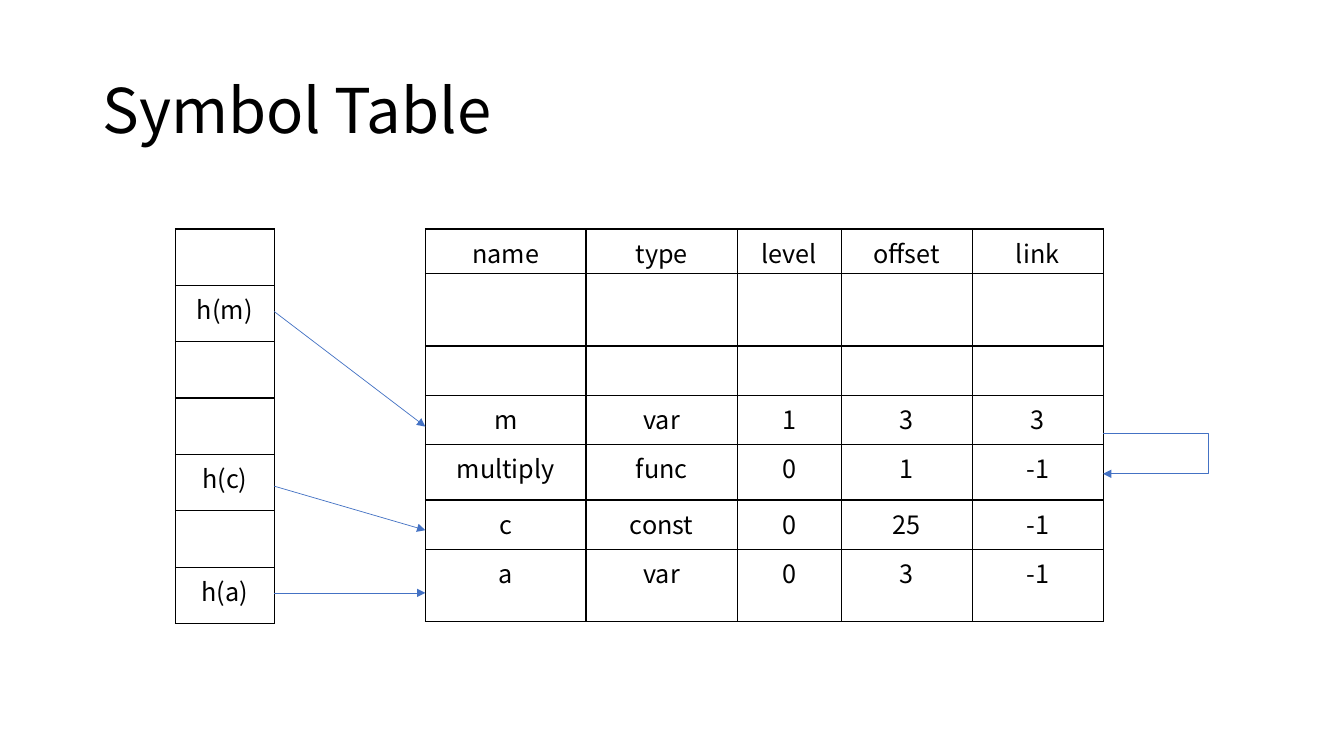
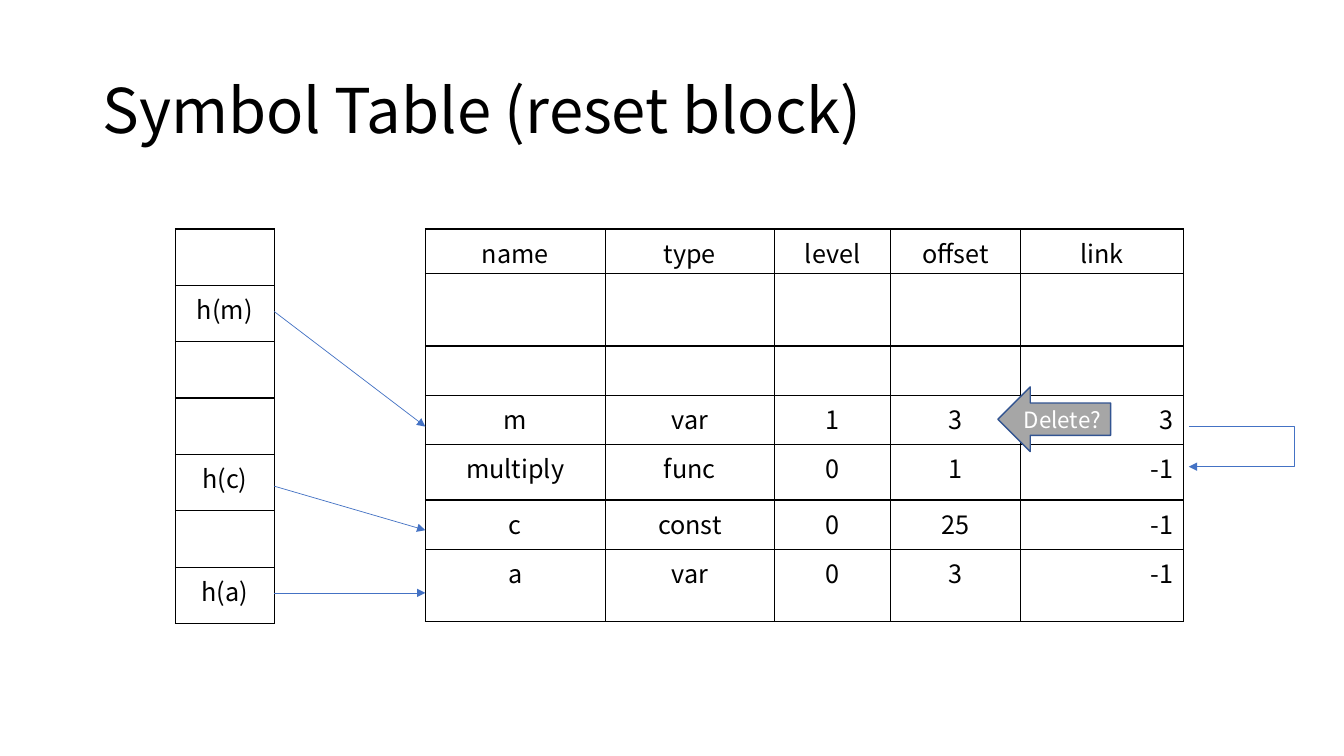
from lxml import etree
from pptx import Presentation
from pptx.dml.color import RGBColor
from pptx.enum.shapes import MSO_CONNECTOR, MSO_SHAPE
from pptx.enum.text import MSO_ANCHOR, PP_ALIGN
from pptx.oxml.ns import qn
from pptx.util import Cm, Pt

STRAIGHT, ELBOW = MSO_CONNECTOR.STRAIGHT, MSO_CONNECTOR.ELBOW
LEFT_ARROW = MSO_SHAPE.LEFT_ARROW
MIDDLE = MSO_ANCHOR.MIDDLE
LEFT, CENTER, RIGHT = PP_ALIGN.LEFT, PP_ALIGN.CENTER, PP_ALIGN.RIGHT

FONT = "Noto Sans CJK KR"
BLACK, WHITE, BLUE = "000000", "FFFFFF", "4472C4"
GREY, DARK_BLUE = "A6A6A6", "325491"

# All lengths below are centimetres.
TABLE_TOP = 5.77
HASH_LEFT, HASH_WIDTH, HASH_ROW = 4.42, 2.49, 1.42
SYMBOLS_LEFT = 10.72
SYMBOL_ROWS = [1.12, 1.83, 1.24, 1.24, 1.4, 1.24, 1.83]
# Start and end heights of the hash arrows, from the top of the tables
HASH_ARROWS = [(9.17, 9.17), (6.48, 7.59), (2.08, 4.98)]
LOOP_STUB, LOOP_DEPTH, LOOP_HEIGHT = 2.02, 2.65, 1.02

HASH_CELLS = [[""], ["h(m)"], [""], [""], ["h(c)"], [""], ["h(a)"]]
SYMBOLS = [
    ["name", "type", "level", "offset", "link"],
    [""] * 5,
    [""] * 5,
    ["m", "var", "1", "3", "3"],
    ["multiply", "func", "0", "1", "-1"],
    ["c", "const", "0", "25", "-1"],
    ["a", "var", "0", "3", "-1"],
]


def color(value):
    return RGBColor.from_string(value)


def write(frame, text, size, text_color=BLACK, align=CENTER):
    paragraph = frame.paragraphs[0]
    paragraph.text = text
    paragraph.alignment = align
    font = paragraph.font
    font.name, font.size = FONT, Pt(size)
    font.color.rgb = color(text_color)
    return paragraph


def add_title(slide, text):
    frame = slide.shapes.add_textbox(Cm(2.33), Cm(1.01), Cm(29.21), Cm(3.68)).text_frame
    frame.word_wrap = True
    frame.vertical_anchor = MIDDLE
    write(frame, text, 44, align=LEFT).line_spacing = 0.9


def add_borders(cell):
    properties = cell._tc.get_or_add_tcPr()
    for position, side in enumerate(("lnL", "lnR", "lnT", "lnB")):
        line = etree.Element(qn(f"a:{side}"), w=str(Pt(1)))
        fill = etree.SubElement(line, qn("a:solidFill"))
        etree.SubElement(fill, qn("a:srgbClr"), val=BLACK)
        properties.insert(position, line)


def add_grid(slide, left, top, widths, heights, rows, last_align=CENTER):
    """Add a ruled table; last_align applies to the last column below its heading."""
    frame = slide.shapes.add_table(len(heights), len(widths), Cm(left), Cm(top),
                                   Cm(sum(widths)), Cm(sum(heights)))
    table = frame.table
    table.first_row = table.horz_banding = False
    for column, width in zip(table.columns, widths):
        column.width = Cm(width)
    for row_index, (height, texts) in enumerate(zip(heights, rows)):
        table.rows[row_index].height = Cm(height)
        for column_index, text in enumerate(texts):
            cell = table.cell(row_index, column_index)
            cell.fill.background()
            add_borders(cell)
            is_last_value = row_index > 0 and column_index == len(widths) - 1
            write(cell.text_frame, text, 18, align=last_align if is_last_value else CENTER)


def add_line(slide, start, end, kind=STRAIGHT, arrow=True):
    connector = slide.shapes.add_connector(kind, *map(Cm, start + end))
    connector.line.color.rgb = color(BLUE)
    connector.line.width = Pt(0.5)
    properties = connector._element.spPr
    if arrow:
        etree.SubElement(properties.find(qn("a:ln")), qn("a:tailEnd"), type="triangle")
    etree.SubElement(properties, qn("a:effectLst"))
    return connector


def add_hash_arrows(slide, left, right, top):
    for start, end in HASH_ARROWS:
        add_line(slide, (left, top + start), (right, top + end))


def add_link_loop(slide, left, top):
    """Draw a line out to the right that turns back to the next row."""
    corner = (left + LOOP_STUB, top)
    elbow = add_line(slide, corner, (left, top + LOOP_HEIGHT), ELBOW)
    bend = round((LOOP_STUB - LOOP_DEPTH) / LOOP_STUB * 100000)
    guides = elbow._element.spPr.find(qn("a:prstGeom")).get_or_add_avLst()
    etree.SubElement(guides, qn("a:gd"), name="adj1", fmla=f"val {bend}")
    add_line(slide, (left, top), corner, arrow=False)


def add_delete_arrow(slide, left, top):
    shape = slide.shapes.add_shape(LEFT_ARROW, Cm(left), Cm(top), Cm(2.84), Cm(1.63))
    shape.shadow.inherit = False
    shape.fill.solid()
    shape.fill.fore_color.rgb = color(GREY)
    shape.line.color.rgb = color(DARK_BLUE)
    shape.line.width = Pt(1)
    frame = shape.text_frame
    frame.word_wrap = False
    frame.vertical_anchor = MIDDLE
    write(frame, "Delete?", 16, WHITE)


def add_symbol_slide(presentation, title, widths, loop_gap, loop_drop, link_align=CENTER):
    slide = presentation.slides.add_slide(presentation.slide_layouts[6])
    add_title(slide, title)
    add_grid(slide, HASH_LEFT, TABLE_TOP, [HASH_WIDTH], [HASH_ROW] * len(HASH_CELLS), HASH_CELLS)
    add_grid(slide, SYMBOLS_LEFT, TABLE_TOP, widths, SYMBOL_ROWS, SYMBOLS, link_align)
    add_hash_arrows(slide, HASH_LEFT + HASH_WIDTH, SYMBOLS_LEFT, TABLE_TOP)
    add_link_loop(slide, SYMBOLS_LEFT + sum(widths) + loop_gap, TABLE_TOP + loop_drop)
    return slide


def main():
    presentation = Presentation()
    presentation.slide_width, presentation.slide_height = Cm(33.87), Cm(19.05)
    add_symbol_slide(presentation, "Symbol Table", [4.05, 3.81, 2.62, 3.3, 3.3], 0, 5.15)
    reset_slide = add_symbol_slide(presentation, "Symbol Table (reset block)",
                                   [4.53, 4.27, 2.93, 3.27, 4.11], 0.13, 4.97, RIGHT)
    add_delete_arrow(reset_slide, SYMBOLS_LEFT + 14.43, TABLE_TOP + 3.98)
    presentation.save("out.pptx")


if __name__ == "__main__":
    main()
